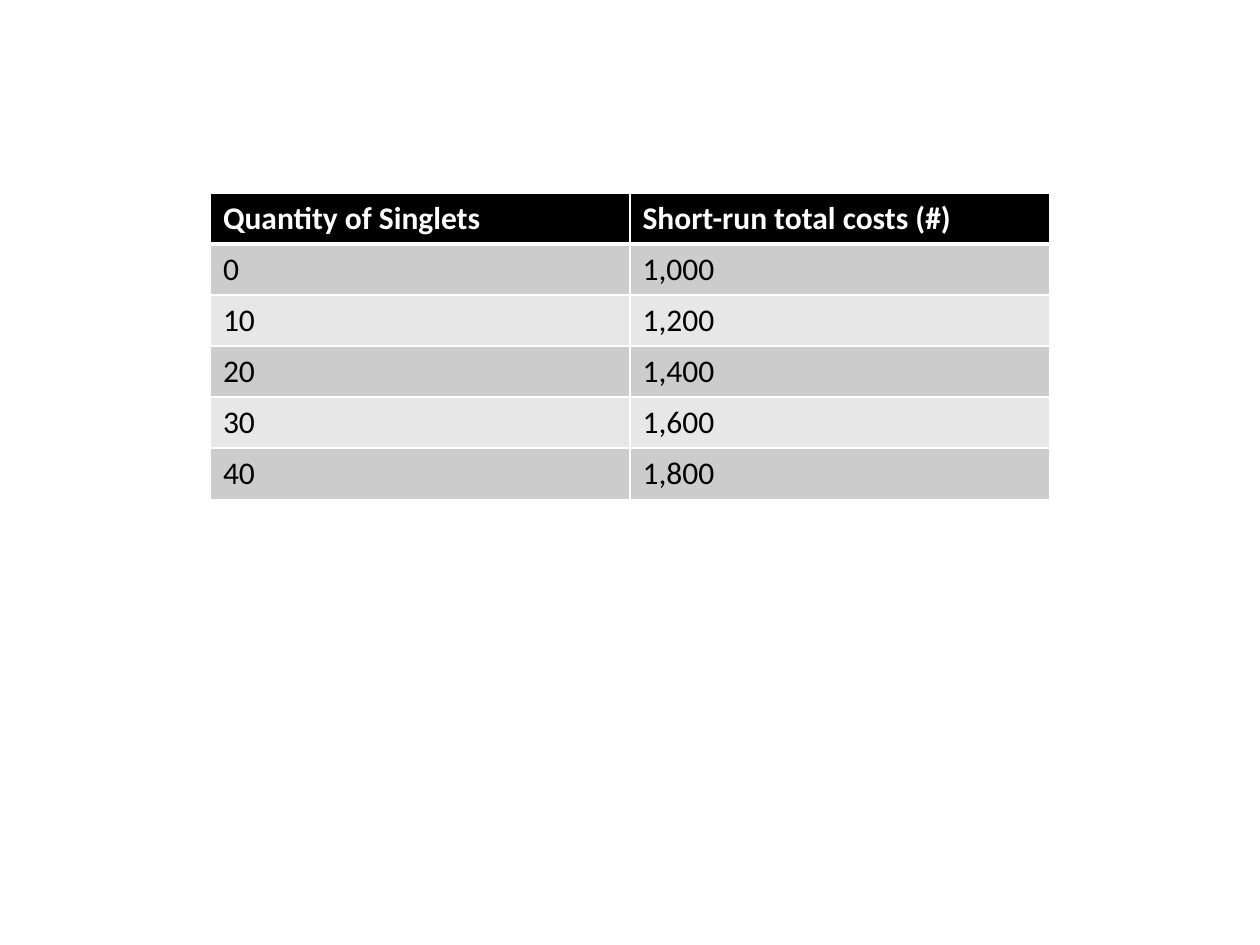
import dataclasses

import lxml.etree
import pptx
import pptx.dml.color
import pptx.oxml.ns
import pptx.util

Inches = pptx.util.Inches
Pt = pptx.util.Pt
qn = pptx.oxml.ns.qn

BLACK, WHITE = "000000", "FFFFFF"
BANDS = ("CCCCCC", "E7E7E7")


@dataclasses.dataclass
class Look:
    fill: str
    ink: str
    bold: bool = False
    top: float = 1
    base: float = 1


def tint(code: str) -> pptx.dml.color.RGBColor:
    return pptx.dml.color.RGBColor.from_string(code)


def write(frame, text: str, *, size=18, font="Calibri", ink=BLACK, bold=False) -> None:
    run = frame.paragraphs[0].add_run()
    run.text = text
    run.font.size = Pt(size)
    run.font.name = font
    run.font.bold = bold
    run.font.color.rgb = tint(ink)


def edge(cell, side: str, width: float) -> None:
    props = cell._tc.get_or_add_tcPr()
    line = lxml.etree.SubElement(props, qn(f"a:ln{side}"), w=str(Pt(width)))
    fill = lxml.etree.SubElement(line, qn("a:solidFill"))
    lxml.etree.SubElement(fill, qn("a:srgbClr"), val=WHITE)


def draw(cell, text: str, look: Look) -> None:
    # Borders come before the fill in the cell properties
    for side, width in (("L", 1), ("R", 1), ("T", look.top), ("B", look.base)):
        edge(cell, side, width)
    cell.fill.solid()
    cell.fill.fore_color.rgb = tint(look.fill)
    write(cell.text_frame, text, ink=look.ink, bold=look.bold)


def main() -> None:
    deck = pptx.Presentation()
    deck.slide_width, deck.slide_height = Inches(10), Inches(7.5)
    slide = deck.slides.add_slide(deck.slide_layouts[6])

    # Header, then costs rising by 200 for every 10 singlets
    rows = [("Quantity of Singlets", "Short-run total costs (#)")]
    rows += [(str(count), f"{1000 + 20 * count:,}") for count in range(0, 50, 10)]

    # Cost table
    table = slide.shapes.add_table(
        len(rows), 2, Inches(1.67), Inches(1.53), Inches(6.66), Inches(2.43)
    ).table
    for r, row in enumerate(rows):
        if r == 0:
            look = Look(BLACK, WHITE, bold=True, base=3)
        else:
            look = Look(BANDS[(r - 1) % 2], BLACK, top=3 if r == 1 else 1)
        for c, text in enumerate(row):
            draw(table.cell(r, c), text, look)

    deck.save("out.pptx")


if __name__ == "__main__":
    main()
